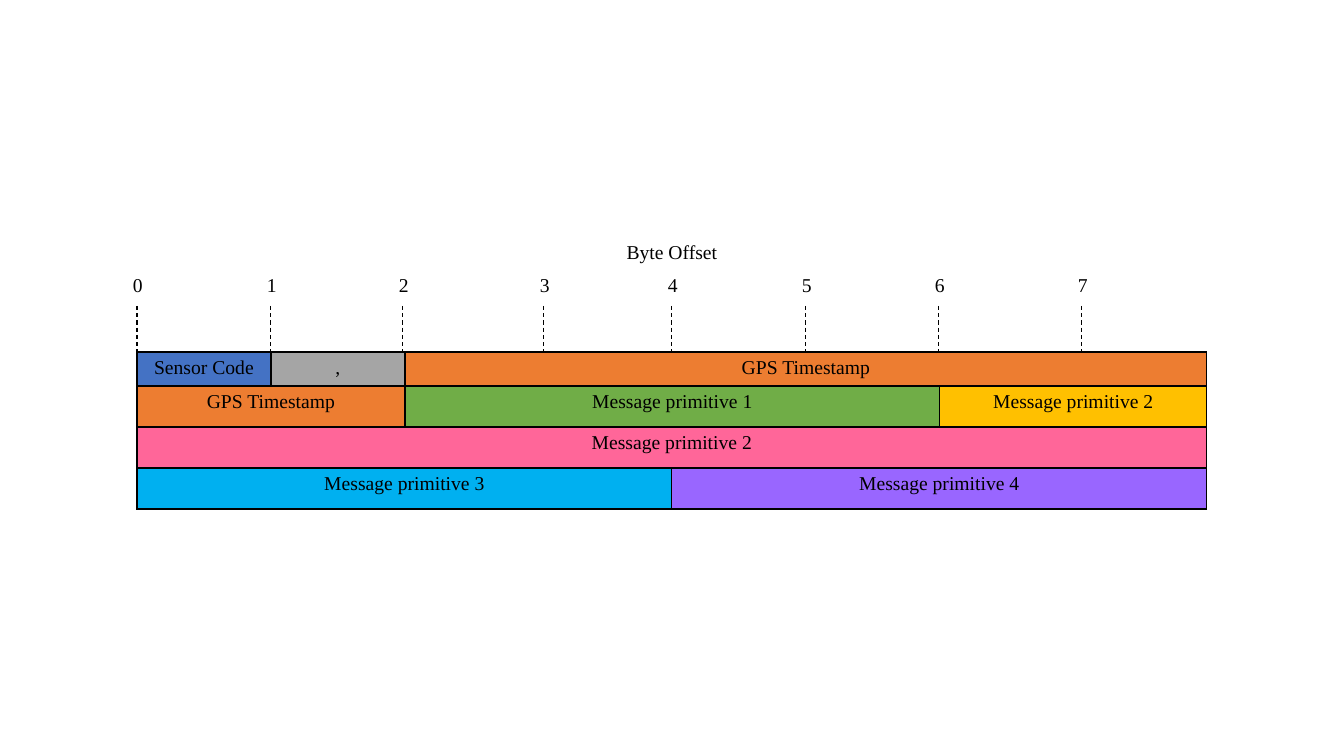
from dataclasses import dataclass

import pptx
import pptx.dml.color
import pptx.enum.dml
import pptx.enum.shapes
import pptx.enum.text
import pptx.oxml
import pptx.oxml.ns
import pptx.util
from lxml import etree

EMU_PER_INCH = 914400
PX_PER_INCH = 100.8


@dataclass(frozen=True)
class Theme:
    font: str = "Times New Roman"
    text_size: float = 14
    ink: str = "000000"
    guide_width: float = 0.75
    border_width: float = 1
    blue: str = "4472C4"
    grey: str = "A5A5A5"
    orange: str = "ED7D31"
    green: str = "70AD47"
    gold: str = "FFC000"
    pink: str = "FF6699"
    sky: str = "00B0F0"
    violet: str = "9966FF"


@dataclass(frozen=True)
class Field:
    """One message field, filling a run of table columns."""
    text: str
    fill: str
    columns: int = 1


THEME = Theme()

# Byte guides and their labels
GUIDE_X = [137, 271, 403, 544, 672, 806, 939, 1082]
GUIDE_TOP, GUIDE_BOTTOM = 306, 508
LABEL_TOP, LABEL_WIDTH, LABEL_HEIGHT = 268, 27, 34
HEADING_TOP = 235

# Message layout
TABLE_LEFT, TABLE_TOP = 137, 352
COLUMN_WIDTHS = [134, 134, 267, 268, 267]
ROW_HEIGHTS = [34, 41, 41, 41]
MESSAGE_ROWS = [
    [Field("Sensor Code", THEME.blue), Field(",", THEME.grey),
     Field("GPS Timestamp", THEME.orange, 3)],
    [Field("GPS Timestamp", THEME.orange, 2),
     Field("Message primitive 1", THEME.green, 2),
     Field("Message primitive 2", THEME.gold)],
    [Field("Message primitive 2", THEME.pink, 5)],
    [Field("Message primitive 3", THEME.sky, 3),
     Field("Message primitive 4", THEME.violet, 2)],
]


def px(length: int) -> pptx.util.Emu:
    return pptx.util.Emu(round(length * EMU_PER_INCH / PX_PER_INCH))


def color(code: str) -> pptx.dml.color.RGBColor:
    return pptx.dml.color.RGBColor.from_string(code)


def write(frame, text: str, centred: bool = True) -> None:
    para = frame.paragraphs[0]
    if centred:
        para.alignment = pptx.enum.text.PP_ALIGN.CENTER
    span = para.add_run()
    span.text = text
    span.font.name = THEME.font
    span.font.size = pptx.util.Pt(THEME.text_size)
    span.font.color.rgb = color(THEME.ink)


def add_guide(page, x: int) -> None:
    guide = page.shapes.add_connector(
        pptx.enum.shapes.MSO_CONNECTOR.STRAIGHT,
        px(x), px(GUIDE_TOP), px(x), px(GUIDE_BOTTOM))
    guide.line.color.rgb = color(THEME.ink)
    guide.line.width = pptx.util.Pt(THEME.guide_width)
    guide.line.dash_style = pptx.enum.dml.MSO_LINE.DASH
    properties = guide._element.spPr
    etree.SubElement(properties, pptx.oxml.ns.qn("a:effectLst"))


def add_label(page, text: str, left: int, top: int, width: int,
              wrap: bool) -> None:
    box = page.shapes.add_textbox(px(left), px(top), px(width),
                                  px(LABEL_HEIGHT))
    box.text_frame.word_wrap = wrap
    box.text_frame.auto_size = pptx.enum.text.MSO_AUTO_SIZE.SHAPE_TO_FIT_TEXT
    write(box.text_frame, text, centred=wrap)


def add_borders(cell) -> None:
    properties = cell._tc.get_or_add_tcPr()
    width = pptx.util.Pt(THEME.border_width)
    for index, side in enumerate(("lnL", "lnR", "lnT", "lnB")):
        border = pptx.oxml.parse_xml(
            f'<a:{side} {pptx.oxml.ns.nsdecls("a")} w="{width}"><a:solidFill>'
            f'<a:srgbClr val="{THEME.ink}"/></a:solidFill></a:{side}>')
        properties.insert(index, border)


def add_message_table(page) -> None:
    table = page.shapes.add_table(
        len(ROW_HEIGHTS), len(COLUMN_WIDTHS), px(TABLE_LEFT), px(TABLE_TOP),
        px(sum(COLUMN_WIDTHS)), px(sum(ROW_HEIGHTS))).table
    table.first_row = False
    table.horz_banding = False
    for column, width in zip(table.columns, COLUMN_WIDTHS):
        column.width = px(width)
    for row, height in zip(table.rows, ROW_HEIGHTS):
        row.height = px(height)

    for row_index, fields in enumerate(MESSAGE_ROWS):
        start = 0
        for field in fields:
            end = start + field.columns
            cells = [table.cell(row_index, index)
                     for index in range(start, end)]
            for cell in cells:
                cell.fill.solid()
                cell.fill.fore_color.rgb = color(field.fill)
                add_borders(cell)
            if field.columns > 1:
                cells[0].merge(cells[-1])
            write(cells[0].text_frame, field.text)
            start = end


def main() -> None:
    deck = pptx.Presentation()
    deck.slide_width, deck.slide_height = px(1344), px(756)
    page = deck.slides.add_slide(deck.slide_layouts[6])

    # Byte guides, behind the table
    for x in GUIDE_X:
        add_guide(page, x)

    # Offset labels and their heading
    for offset, x in enumerate(GUIDE_X):
        add_label(page, str(offset), x - 14, LABEL_TOP, LABEL_WIDTH,
                  wrap=False)
    add_label(page, "Byte Offset", TABLE_LEFT, HEADING_TOP,
              sum(COLUMN_WIDTHS), wrap=True)

    # Message fields
    add_message_table(page)
    deck.save("out.pptx")


if __name__ == "__main__":
    main()
